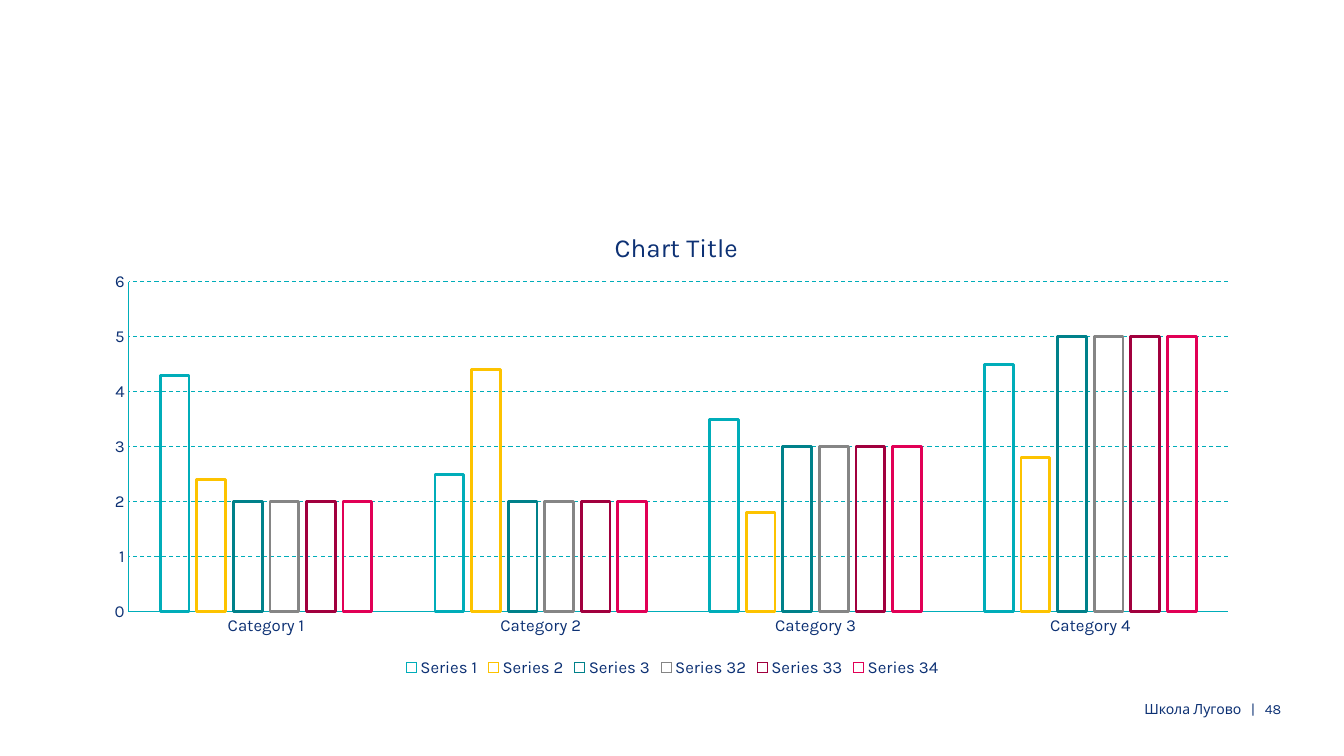
"""Build a slide with an outlined clustered column chart and a footer."""
from lxml import etree
from pptx import Presentation
from pptx.chart.data import CategoryChartData
from pptx.dml.color import RGBColor
from pptx.enum.chart import XL_CHART_TYPE, XL_LEGEND_POSITION, XL_TICK_MARK
from pptx.enum.dml import MSO_LINE
from pptx.enum.text import PP_ALIGN
from pptx.oxml.ns import qn
from pptx.util import Inches, Pt

CLUSTERED = XL_CHART_TYPE.COLUMN_CLUSTERED
BOTTOM = XL_LEGEND_POSITION.BOTTOM
NO_TICK = XL_TICK_MARK.NONE
DASH = MSO_LINE.DASH
RIGHT = PP_ALIGN.RIGHT

FONT = "Karla"
COLORS = {
    "navy": "0D3174", "teal": "00ADB9", "yellow": "FDC300", "pine": "00818A",
    "gray": "858585", "wine": "A1003E", "pink": "E10056",
}
CATEGORIES = [f"Category {number}" for number in range(1, 5)]
LATER_VALUES = (2, 2, 3, 5)
SERIES = [
    ("Series 1", "teal", (4.3, 2.5, 3.5, 4.5)),
    ("Series 2", "yellow", (2.4, 4.4, 1.8, 2.8)),
    ("Series 3", "pine", LATER_VALUES),
    ("Series 32", "gray", LATER_VALUES),
    ("Series 33", "wine", LATER_VALUES),
    ("Series 34", "pink", LATER_VALUES),
]


def color(name):
    return RGBColor.from_string(COLORS[name])


def style_font(font, size):
    for key, value in {"name": FONT, "size": Pt(size), "bold": False}.items():
        setattr(font, key, value)
    font.color.rgb = color("navy")


def style_line(line, name, width):
    line.color.rgb = color(name)
    line.width = Pt(width)


def place(part, position, shares):
    """Give a chart part a manual layout in shares of the chart's size."""
    for old in part.findall(qn("c:layout")):
        part.remove(old)
    layout = etree.Element(qn("c:layout"))
    manual = etree.SubElement(layout, qn("c:manualLayout"))
    for key, value in shares.items():
        etree.SubElement(manual, qn(f"c:{key}")).set("val", str(value))
    part.insert(position, layout)


def style_axis(axis):
    axis.major_tick_mark = axis.minor_tick_mark = NO_TICK
    style_font(axis.tick_labels.font, 12)
    style_line(axis.format.line, "teal", 0.75)


def style_value_axis(axis):
    style_axis(axis)
    for key, value in {"minimum_scale": 0, "maximum_scale": 6, "major_unit": 1}.items():
        setattr(axis, key, value)
    grid = axis.major_gridlines.format.line
    style_line(grid, "teal", 0.75)
    grid.dash_style = DASH


def add_title(chart, text):
    chart.has_title = True
    paragraph = chart.chart_title.text_frame.paragraphs[0]
    title = paragraph.add_run()
    title.text = text
    style_font(title.font, 18.6)
    place(chart.chart_title._element, 1,
          {"xMode": "edge", "yMode": "edge", "x": 0.446, "y": 0.05})


def add_legend(chart):
    chart.has_legend = True
    chart.legend.position = BOTTOM
    chart.legend.include_in_layout = False
    style_font(chart.legend.font, 12)


def add_columns(slide, left, top, width, height):
    data = CategoryChartData()
    data.categories = CATEGORIES
    for name, _, values in SERIES:
        data.add_series(name, values)
    chart = slide.shapes.add_chart(CLUSTERED, left, top, width, height, data).chart
    style_font(chart.font, 10)
    add_title(chart, "Chart Title")
    add_legend(chart)
    style_axis(chart.category_axis)
    style_value_axis(chart.value_axis)

    plot = chart.plots[0]
    for key, value in {"gap_width": 219, "overlap": -27, "vary_by_categories": False}.items():
        setattr(plot, key, value)
    for columns, (_, outline, _) in zip(plot.series, SERIES):
        columns.invert_if_negative = False
        columns.format.fill.background()
        style_line(columns.format.line, outline, 2)
    place(chart._chartSpace.chart.plotArea, 0,
          {"layoutTarget": "inner", "xMode": "edge", "yMode": "edge",
           "x": 0.031, "y": 0.167, "w": 0.948, "h": 0.688})


def add_footer(slide, text, left, top, width, height):
    frame = slide.shapes.add_textbox(left, top, width, height).text_frame
    frame.word_wrap = True
    for side in ("left", "top", "right", "bottom"):
        setattr(frame, f"margin_{side}", 0)
    paragraph = frame.paragraphs[0]
    paragraph.alignment = RIGHT
    footer = paragraph.add_run()
    footer.text = text
    style_font(footer.font, 10)


def main():
    deck = Presentation()
    deck.slide_width, deck.slide_height = Inches(13.33), Inches(7.5)
    slide = deck.slides.add_slide(deck.slide_layouts[6])

    def share(x, y, width, height):
        return (int(deck.slide_width * x), int(deck.slide_height * y),
                int(deck.slide_width * width), int(deck.slide_height * height))

    add_footer(slide, "Школа Лугово   |   48", *share(0.7554, 0.9267, 0.198, 0.0533))
    add_columns(slide, *share(0.069, 0.2667, 0.8627, 0.6347))
    deck.save("out.pptx")


if __name__ == "__main__":
    main()
